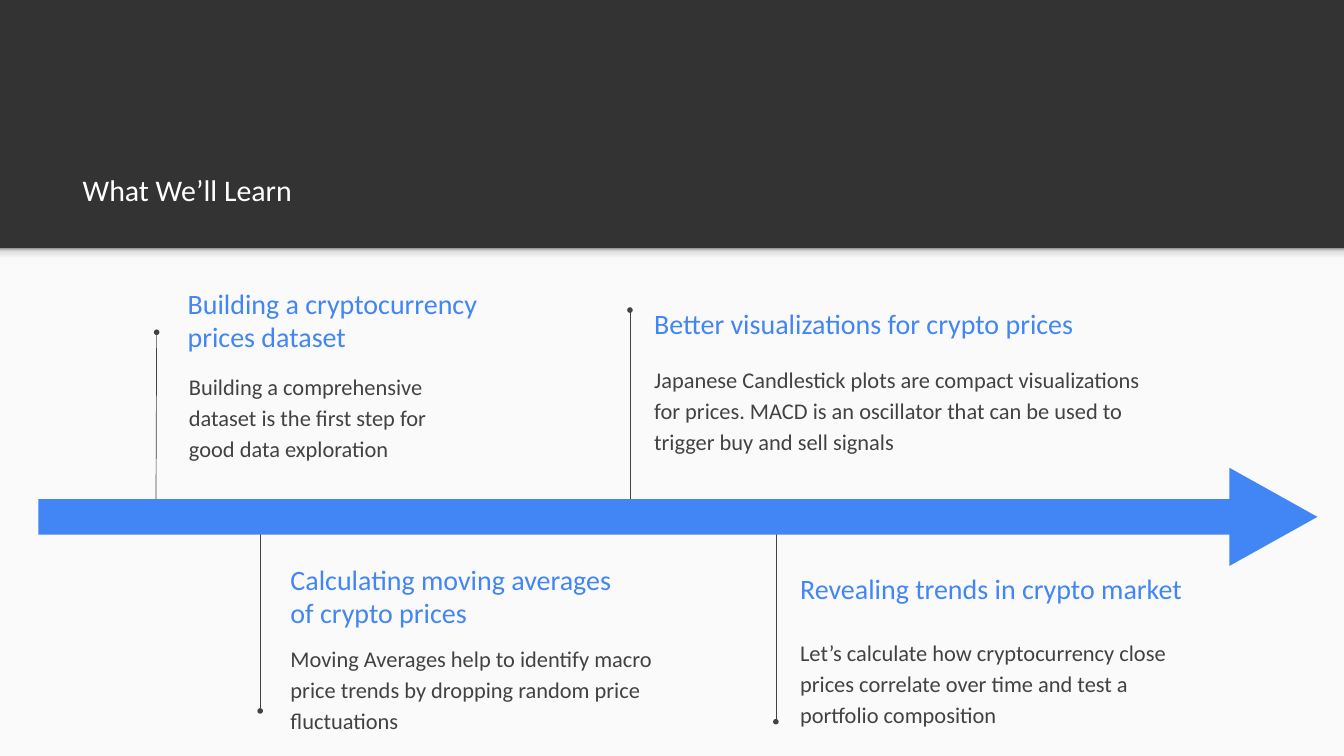
from dataclasses import dataclass

from lxml import etree
from pptx import Presentation
from pptx.dml.color import RGBColor
from pptx.enum.shapes import MSO_CONNECTOR, MSO_SHAPE
from pptx.enum.text import MSO_ANCHOR, MSO_AUTO_SIZE, PP_ALIGN
from pptx.oxml.ns import qn
from pptx.util import Emu, Pt

PX = 9144  # EMU in one px, 100 px to the inch
SLIDE_W, SLIDE_H = 1999, 1124
HEADER_H = 369
INSET = 20
COMPARISON_LAYOUT = 4  # one title and four bodies

TOP, MIDDLE, BOTTOM = MSO_ANCHOR.TOP, MSO_ANCHOR.MIDDLE, MSO_ANCHOR.BOTTOM
LEFT = PP_ALIGN.LEFT
NO_AUTOFIT = MSO_AUTO_SIZE.NONE
STRAIGHT = MSO_CONNECTOR.STRAIGHT
RECTANGLE, TRIANGLE = MSO_SHAPE.RECTANGLE, MSO_SHAPE.ISOSCELES_TRIANGLE


@dataclass(frozen=True)
class Theme:
    font: str = "Calibri"
    dark: str = "333333"
    paper: str = "FAFAFA"
    accent: str = "4285F4"
    ink: str = "424242"
    white: str = "FFFFFF"
    header_shadow: tuple = ((0, "F9F9F9"), (36, "F9F9F9"), (80, "DEDEDE"), (100, "999999"))
    title_size: int = 32
    heading_size: int = 30
    body_size: int = 24
    body_spacing: float = 1.15
    stem_width: float = 0.75


@dataclass(frozen=True)
class Step:
    heading: str
    heading_box: tuple
    heading_anchor: MSO_ANCHOR
    body: str
    body_box: tuple
    stem: tuple


STEPS = (
    Step("Building a cryptocurrency prices dataset", (259, 412, 509, 127), MIDDLE,
         "Building a comprehensive dataset is the first step for good data exploration",
         (261, 529, 460, 168), (232, 756, 233, 494)),
    Step("Calculating moving averages of crypto prices", (412, 816, 525, 127), TOP,
         "Moving Averages help to identify macro price trends by dropping random "
         "price fluctuations",
         (412, 933, 641, 179), (387, 762, 387, 1057)),
    Step("Better visualizations for crypto prices", (953, 437, 753, 86), MIDDLE,
         "Japanese Candlestick plots are compact visualizations for prices. MACD is an "
         "oscillator that can be used to trigger buy and sell signals",
         (953, 518, 784, 236), (937, 754, 937, 461)),
    Step("Revealing trends in crypto market", (1170, 802, 671, 146), MIDDLE,
         "Let’s calculate how cryptocurrency close prices correlate over time and test a "
         "portfolio composition",
         (1170, 924, 635, 179), (1154, 779, 1154, 1073)),
)


def px(*lengths):
    return [Emu(length * PX) for length in lengths]


def rgb(code):
    return RGBColor.from_string(code)


def write(frame, text, *, font, size, color, anchor=TOP, spacing=1.0):
    frame.word_wrap = True
    frame.auto_size = NO_AUTOFIT
    frame.vertical_anchor = anchor
    inset = Emu(INSET * PX)
    frame.margin_left = frame.margin_right = inset
    frame.margin_top = frame.margin_bottom = inset
    frame.text = text
    paragraph = frame.paragraphs[0]
    properties = paragraph._p.get_or_add_pPr()
    properties.set("marL", "0")
    properties.set("indent", "0")
    etree.SubElement(properties, qn("a:buNone"))
    paragraph.alignment = LEFT
    paragraph.line_spacing = spacing
    paragraph.space_before = paragraph.space_after = Pt(0)
    run_font = paragraph.runs[0].font
    run_font.name, run_font.size, run_font.bold = font, Pt(size), False
    run_font.color.rgb = rgb(color)


class Deck:
    """The theme and the slide being drawn."""

    def __init__(self, slide, theme):
        self.slide, self.theme = slide, theme
        background = slide.background.fill
        background.solid()
        background.fore_color.rgb = rgb(theme.dark)

    def shape(self, kind, box, color=None, rotation=0, parent=None):
        shape = (parent or self.slide).shapes.add_shape(kind, *px(*box))
        shape.rotation = rotation
        shape.shadow.inherit = False
        shape.line.fill.background()
        if color:
            shape.fill.solid()
            shape.fill.fore_color.rgb = rgb(color)
        return shape

    def gradient_band(self, box, stops):
        """A rectangle whose stops run from its bottom edge to its top."""
        band = self.shape(RECTANGLE, box)
        band.fill.gradient()
        band.fill.gradient_angle = 90
        stop_list = next(band.element.iter(qn("a:gsLst")))
        for stop in list(stop_list):
            stop_list.remove(stop)
        for percent, color in stops:
            stop = etree.SubElement(stop_list, qn("a:gs"), pos=str(percent * 1000))
            etree.SubElement(stop, qn("a:srgbClr"), val=color)

    def placeholder(self, index, box, text, **style):
        """Fill a template placeholder and bring it in front of what is drawn so far."""
        holder = self.slide.placeholders[index]
        holder.left, holder.top, holder.width, holder.height = px(*box)
        holder.element.getparent().append(holder.element)
        write(holder.text_frame, text, font=self.theme.font, **style)

    def heading(self, box, text, anchor):
        label = self.slide.shapes.add_textbox(*px(*box))
        write(label.text_frame, text, font=self.theme.font, size=self.theme.heading_size,
              color=self.theme.accent, anchor=anchor)

    def stem(self, ends):
        """A thin line with a dot at its far end."""
        stem = self.slide.shapes.add_connector(STRAIGHT, *px(*ends))
        stem.line.color.rgb = rgb(self.theme.ink)
        stem.line.width = Pt(self.theme.stem_width)
        properties = stem.element.spPr
        etree.SubElement(properties.find(qn("a:ln")), qn("a:tailEnd"), type="oval")
        etree.SubElement(properties, qn("a:effectLst"))

    def timeline_arrow(self):
        arrow = self.slide.shapes.add_group_shape()
        self.shape(TRIANGLE, (1821, 703, 146, 131), self.theme.accent, 90, arrow)
        self.shape(RECTANGLE, (57, 742, 1796, 53), self.theme.accent, parent=arrow)


def main():
    presentation = Presentation()
    presentation.slide_width, presentation.slide_height = px(SLIDE_W, SLIDE_H)
    layout = presentation.slide_layouts[COMPARISON_LAYOUT]
    theme = Theme()
    deck = Deck(presentation.slides.add_slide(layout), theme)

    deck.shape(RECTANGLE, (0, HEADER_H, SLIDE_W, SLIDE_H - HEADER_H), theme.paper)
    deck.gradient_band((0, HEADER_H, SLIDE_W, 24), theme.header_shadow)
    deck.placeholder(0, (103, 161, 1798, 168), "What We’ll Learn",
                     size=theme.title_size, color=theme.white, anchor=BOTTOM)
    for index, step in enumerate(STEPS, start=1):
        deck.stem(step.stem)
        deck.heading(step.heading_box, step.heading, step.heading_anchor)
        deck.placeholder(index, step.body_box, step.body, size=theme.body_size,
                         color=theme.ink, spacing=theme.body_spacing)
    deck.timeline_arrow()
    presentation.save("out.pptx")


if __name__ == "__main__":
    main()
